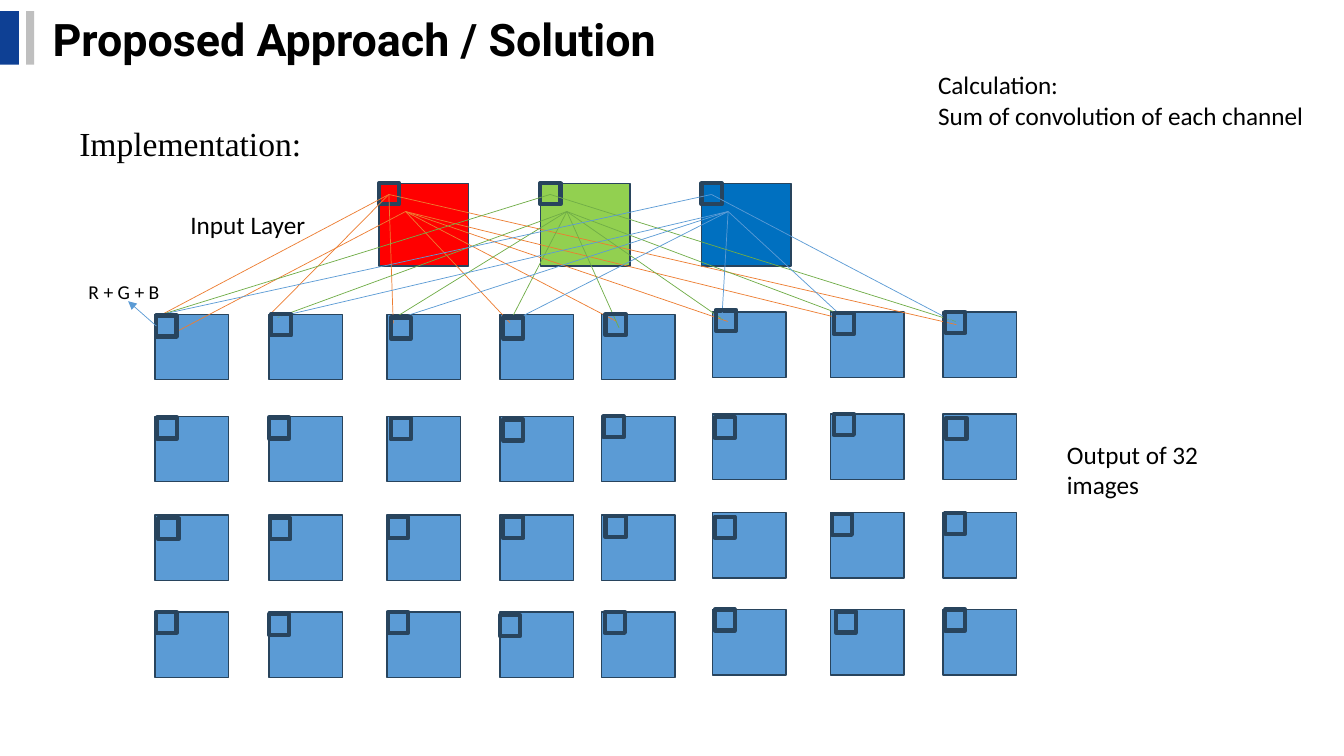
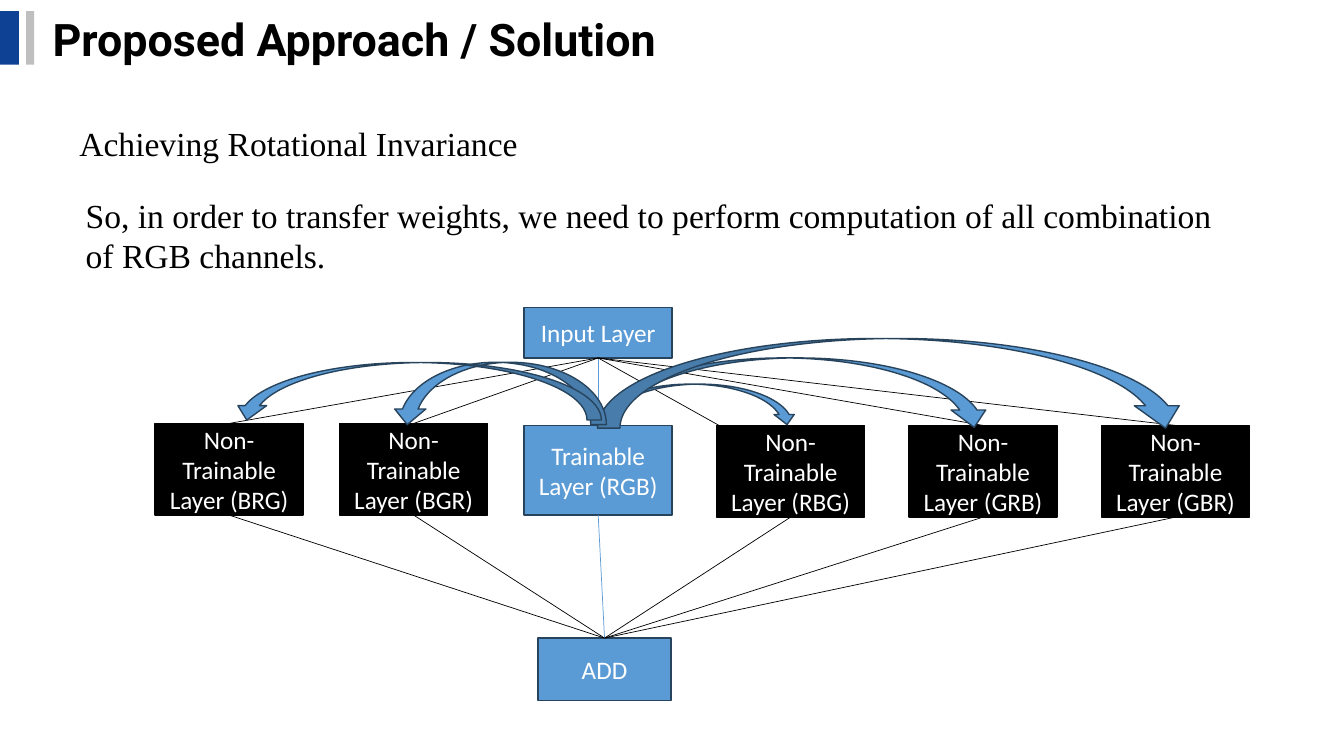
"""Build two slides on a convolutional network approach."""
from dataclasses import dataclass
from typing import NamedTuple, Optional

from lxml import etree
from pptx import Presentation
from pptx.dml.color import RGBColor
from pptx.enum import shapes, text
from pptx.oxml import ns
from pptx.util import Cm, Pt

NAVY = RGBColor(0x0E, 0x40, 0x94)
GRAY = RGBColor(0xBF, 0xBF, 0xBF)
BLACK = RGBColor(0x00, 0x00, 0x00)
WHITE = RGBColor(0xFF, 0xFF, 0xFF)
SKY = RGBColor(0x5B, 0x9B, 0xD5)
OUTLINE = RGBColor(0x28, 0x44, 0x5D)
ORANGE = RGBColor(0xED, 0x7D, 0x31)
LEAF = RGBColor(0x70, 0xAD, 0x47)
RED = RGBColor(0xFF, 0x00, 0x00)
LIME = RGBColor(0x92, 0xD0, 0x50)
BLUE = RGBColor(0x00, 0x70, 0xC0)

SANS, SERIF, TITLE_FONT = "Calibri", "Times New Roman", "Roboto"
TITLE = "Proposed Approach / Solution"
SHAPE = shapes.MSO_SHAPE


class Box(NamedTuple):
    """Left, top, width and height in centimetres."""
    x: float
    y: float
    w: float
    h: float

    def emu(self) -> tuple:
        """Return the four lengths."""
        return tuple(Cm(v) for v in self)


class Point(NamedTuple):
    """A position in centimetres."""
    x: float
    y: float


@dataclass(frozen=True)
class Channel:
    """An input channel with the rays leaving its window and its centre."""
    fill: RGBColor
    ray: RGBColor
    window_ends: tuple
    centre_ends: tuple


@dataclass(frozen=True)
class Layer:
    """A network layer and, if its upper line is loose, where that ends."""
    label: str
    x: float
    y: float
    h: float = 2.31
    fill: RGBColor = BLACK
    edge: RGBColor = BLACK
    ray: RGBColor = BLACK
    loose_end: Optional[Point] = None


@dataclass(frozen=True)
class Arc:
    """A curved arrow from the trainable layer."""
    kind: shapes.MSO_SHAPE
    box: Box
    rotation: int = 0


CHANNEL_X, CHANNEL_Y, CHANNEL_PITCH = 9.55, 4.62, 4.065
CHANNELS = (
    Channel(RED, ORANGE,
            ((4.09, 7.92), (24.1, 8.18), (6.78, 7.95), (9.91, 8.15)),
            ((12.85, 8.13), (15.54, 8.1), (18.34, 8.1), (21.08, 8), (4.5, 8.33))),
    Channel(LIME, LEAF,
            ((4.09, 7.92), (24.08, 8.1)),
            ((6.99, 8), (9.96, 8), (12.88, 8.05), (15.6, 8.26), (18.21, 8.05),
             (21.13, 7.9))),
    Channel(BLUE, SKY,
            ((4.09, 7.92), (24.08, 8.13)),
            ((6.96, 8), (9.96, 8.05), (12.9, 8.1), (18.19, 8.05), (21.39, 8.13))),
)
COLUMNS = (3.91, 6.78, 9.75, 12.6, 15.16, 17.96, 20.93, 23.77)
ROWS = (7.92, 10.49, 12.98, 15.42)
RAISED_FROM, RAISE = 5, 0.06
WINDOW_OFFSETS = (
    ((.03, .03), (.05, 0), (.1, .08), (.08, .08), (.1, 0), (.08, -.05), (.08, .03), (.05, 0)),
    ((.05, .03), (0, .03), (.1, .05), (.08, .08), (.05, 0), (.05, .08), (.08, 0), (.08, .1)),
    ((.08, .08), (.03, .08), (.03, .05), (.08, .05), (.1, .03), (.05, .1), (.03, .03), (.05, 0)),
    ((.03, 0), (0, .05), (.03, 0), (0, .08), (.08, 0), (.05, 0), (.13, .05), (.05, 0)),
)
LAYERS = (
    Layer("Non-Trainable Layer (BRG)", 3.91, 10.67),
    Layer("Non-Trainable Layer (BGR)", 8.56, 10.67),
    Layer("Trainable Layer (RGB)", 13.21, 10.72, 2.26, SKY, OUTLINE, SKY),
    Layer("Non-Trainable Layer (RBG)", 18.06, 10.72, loose_end=Point(18.21, 10.77)),
    Layer("Non-Trainable Layer (GRB)", 22.91, 10.72),
    Layer("Non-Trainable Layer (GBR)", 27.76, 10.72),
)
LAYER_WIDTH = 3.73
ARCS = (
    Arc(SHAPE.CURVED_DOWN_ARROW, Box(15.06, 9.68, 5.03, 1.02)),
    Arc(SHAPE.CURVED_DOWN_ARROW, Box(15.06, 9.02, 9.93, 1.75)),
    Arc(SHAPE.CURVED_DOWN_ARROW, Box(15.06, 8.53, 14.88, 2.26)),
    Arc(SHAPE.CURVED_RIGHT_ARROW, Box(11.79, 7.21, 1.57, 5.41), 90),
    Arc(SHAPE.CURVED_RIGHT_ARROW, Box(9.78, 5.21, 1.45, 9.3), 90),
)


def add_run(p, words: str, size: float, font: str, color: RGBColor, bold: bool = False) -> None:
    """Append a formatted run to a paragraph."""
    r = p.add_run()
    r.text = words
    r.font.size, r.font.name, r.font.bold = Pt(size), font, bold
    r.font.color.rgb = color


def add_figure(s, box: Box, fill: Optional[RGBColor], edge: Optional[RGBColor] = OUTLINE,
               weight: float = 1, kind=SHAPE.RECTANGLE):
    """Draw a preset shape; no fill or edge colour leaves that part empty."""
    sp = s.shapes.add_shape(kind, *box.emu())
    sp.shadow.inherit = False
    for part, color in ((sp.fill, fill), (sp.line.fill, edge)):
        if color is None:
            part.background()
        else:
            part.solid()
            part.fore_color.rgb = color
    if edge is not None:
        sp.line.width = Pt(weight)
    return sp


def add_window(s, x: float, y: float):
    """Draw a kernel window."""
    return add_figure(s, Box(x, y, 0.51, 0.53), None, weight=3)


def add_node(s, box: Box, label: str, fill: RGBColor = SKY, edge: RGBColor = OUTLINE):
    """Draw a rectangle with a centred white label."""
    sp = add_figure(s, box, fill, edge)
    tf = sp.text_frame
    tf.word_wrap = True
    tf.vertical_anchor = text.MSO_ANCHOR.MIDDLE
    p = tf.paragraphs[0]
    p.alignment = text.PP_ALIGN.CENTER
    add_run(p, label, 18, SANS, WHITE)
    return sp


def add_label(s, box: Box, *lines: str, size: float = 18, font: str = SANS) -> None:
    """Add a text box with one paragraph for each line."""
    tf = s.shapes.add_textbox(*box.emu()).text_frame
    tf.word_wrap = True
    for i, line in enumerate(lines):
        p = tf.add_paragraph() if i else tf.paragraphs[0]
        add_run(p, line, size, font, BLACK)


def add_line(s, start: Point, end: Point, color: RGBColor):
    """Draw a thin straight connector."""
    ends = (Cm(v) for v in (*start, *end))
    c = s.shapes.add_connector(shapes.MSO_CONNECTOR.STRAIGHT, *ends)
    c.line.color.rgb = color
    c.line.width = Pt(0.5)
    etree.SubElement(c._element.spPr, ns.qn("a:effectLst"))
    return c


def add_slide(prs, heading: str):
    """Add a slide with the shared bands, title and heading."""
    s = prs.slides.add_slide(prs.slide_layouts[5])
    add_figure(s, Box(0, 0.28, 0.48, 1.35), NAVY, None)
    add_figure(s, Box(0.66, 0.28, 0.2, 1.35), GRAY, None)
    sp = s.shapes.title
    sp.left, sp.top, sp.width, sp.height = Box(1.07, 0.15, 26.11, 1.63).emu()
    tf = sp.text_frame
    tf.auto_size = text.MSO_AUTO_SIZE.NONE
    tf.vertical_anchor = text.MSO_ANCHOR.MIDDLE
    p = tf.paragraphs[0]
    p.alignment = text.PP_ALIGN.LEFT
    add_run(p, TITLE, 32, TITLE_FONT, BLACK, True)
    add_label(s, Box(1.75, 2.97, 12, 1.27), heading, size=24, font=SERIF)
    return s


def cell_position(row: int, col: int) -> Point:
    """Return the top left corner of an output image."""
    return Point(COLUMNS[col], ROWS[row] - (RAISE if col >= RAISED_FROM else 0))


def draw_implementation(prs) -> None:
    """Draw the three input channels and the grid of output images."""
    s = add_slide(prs, "Implementation:")
    cells = [(cell_position(i, j), offset)
             for i, offsets in enumerate(WINDOW_OFFSETS)
             for j, offset in enumerate(offsets)]
    for cell, _ in cells:
        add_figure(s, Box(*cell, 1.85, 1.65), SKY)
    lefts = [CHANNEL_X + i * CHANNEL_PITCH for i in range(len(CHANNELS))]
    for x, channel in zip(lefts, CHANNELS):
        add_figure(s, Box(x, CHANNEL_Y, 2.26, 2.08), channel.fill)
        add_window(s, x, CHANNEL_Y)
    for x, channel in zip(lefts, CHANNELS):
        for start, ends in ((Point(x + 0.25, CHANNEL_Y + 0.28), channel.window_ends),
                            (Point(x + 0.67, CHANNEL_Y + 0.71), channel.centre_ends)):
            for end in ends:
                add_line(s, start, Point(*end), channel.ray)
    windows = [add_window(s, cell.x + dx, cell.y + dy) for cell, (dx, dy) in cells]
    arrow = add_line(s, Point(3.94, 8.22), Point(3.23, 7.59), SKY)
    arrow.begin_connect(windows[0], 1)
    etree.SubElement(arrow.line._get_or_add_ln(), ns.qn("a:tailEnd"), type="triangle")
    add_label(s, Box(4.55, 5.16, 4.6, 1.02), "Input Layer")
    add_label(s, Box(26.64, 10.95, 5.16, 1.8), "Output of 32 images")
    add_label(s, Box(23.39, 1.63, 10.21, 1.8), "Calculation:",
              "Sum of convolution of each channel")
    add_label(s, Box(1.98, 6.93, 2.44, 0.86), "R + G + B", size=14)


def draw_invariance(prs) -> None:
    """Draw the layers for every channel order and their sum."""
    s = add_slide(prs, "Achieving Rotational Invariance")
    add_label(s, Box(1.91, 4.78, 28.91, 2.31),
              "So, in order to transfer weights, we need to perform computation of all "
              "combination of RGB channels.", size=24, font=SERIF)
    source = add_node(s, Box(13.21, 7.75, LAYER_WIDTH, 1.27), "Input Layer")
    total = add_node(s, Box(13.56, 16.08, 3.35, 1.57), "ADD")
    for layer in LAYERS:
        node = add_node(s, Box(layer.x, layer.y, LAYER_WIDTH, layer.h),
                        layer.label, layer.fill, layer.edge)
        middle = layer.x + LAYER_WIDTH / 2
        top = Point(middle, layer.y)
        upper = add_line(s, Point(15.07, 9.02), layer.loose_end or top, layer.ray)
        upper.begin_connect(source, 2)
        if layer.loose_end is None:
            upper.end_connect(node, 0)
        lower = add_line(s, Point(15.24, 16.08), Point(middle, layer.y + layer.h), layer.ray)
        lower.begin_connect(total, 0)
        lower.end_connect(node, 2)
    for arc in ARCS:
        add_figure(s, arc.box, SKY, kind=arc.kind).rotation = arc.rotation


def main() -> None:
    """Build and save the presentation."""
    prs = Presentation()
    prs.slide_width, prs.slide_height = Cm(33.87), Cm(19.05)
    draw_implementation(prs)
    draw_invariance(prs)
    prs.save("out.pptx")


if __name__ == "__main__":
    main()
